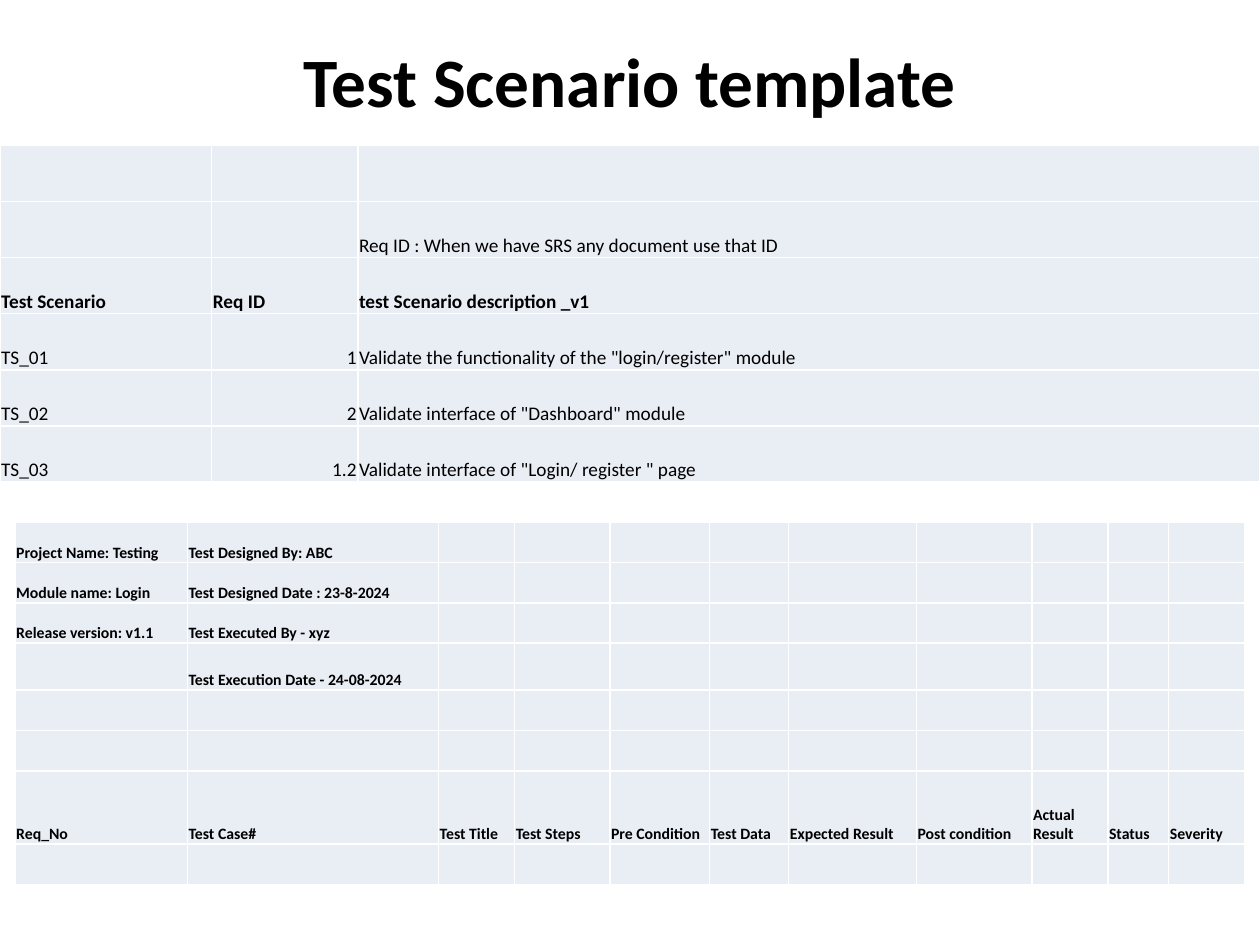
import dataclasses

import pptx
import pptx.dml.color
import pptx.enum.text
import pptx.oxml
import pptx.oxml.ns
import pptx.util

Pt = pptx.util.Pt
Align = pptx.enum.text.PP_ALIGN
Anchor = pptx.enum.text.MSO_ANCHOR


@dataclasses.dataclass(frozen=True)
class Theme:
    """Colours and type sizes of the deck."""
    font: str = "Calibri"
    ink: str = "000000"
    cell: str = "E9EDF4"
    rule: str = "FFFFFF"
    title_size: float = 39.6
    scenario_size: float = 11
    case_size: float = 9


THEME = Theme()

SCENARIO_WIDTHS = [121, 83.5, 515.5]
SCENARIO_ROWS = [
    [],
    ["", "", "Req ID : When we have SRS any document use that ID"],
    ["Test Scenario", "Req ID", "test Scenario description _v1"],
    ["TS_01", "1", 'Validate the functionality of the "login/register" module'],
    ["TS_02", "2", 'Validate interface of "Dashboard" module'],
    ["TS_03", "1.2", 'Validate interface of "Login/ register " page'],
]
SCENARIO_HEADER = 2

CASE_WIDTHS = [98.5, 143.5, 43.5, 54.5, 57, 45.2, 73, 66, 43.4, 34.8, 43.2]
CASE_HEIGHTS = [23.1, 23.1, 23.1, 26.8, 23.1, 23.1, 41.9, 23.1]
CASE_ROWS = [
    ["Project Name: Testing", "Test Designed By: ABC"],
    ["Module name: Login", "Test Designed Date : 23-8-2024"],
    ["Release version: v1.1", "Test Executed By - xyz"],
    ["", "Test Execution Date - 24-08-2024"],
    [],
    [],
    ["Req_No", "Test Case#", "Test Title", "Test Steps", "Pre Condition", "Test Data",
     "Expected Result", "Post condition", "Actual Result", "Status", "Severity"],
    [],
]


def write_text(frame, text, size, bold=False, align=Align.LEFT):
    """Write one formatted paragraph into a text frame."""
    para = frame.paragraphs[0]
    para.alignment = align
    span = para.add_run()
    span.text = text
    span.font.name = THEME.font
    span.font.size = Pt(size)
    span.font.bold = bold
    span.font.color.rgb = pptx.dml.color.RGBColor.from_string(THEME.ink)


def style_cell(cell):
    """Give a cell its fill, borders, insets and bottom anchor."""
    cell.margin_left = cell.margin_right = cell.margin_top = Pt(0.7)
    cell.margin_bottom = Pt(0)
    cell.vertical_anchor = Anchor.BOTTOM
    properties = cell._tc.get_or_add_tcPr()
    for edge in ("lnL", "lnR", "lnT", "lnB"):
        properties.append(pptx.oxml.parse_xml(
            f'<a:{edge} {pptx.oxml.ns.nsdecls("a")} w="{Pt(1)}"><a:solidFill>'
            f'<a:srgbClr val="{THEME.rule}"/></a:solidFill></a:{edge}>'))
    cell.fill.solid()
    cell.fill.fore_color.rgb = pptx.dml.color.RGBColor.from_string(THEME.cell)


def add_grid(page, left, top, widths, heights):
    """Add a plain styled table and return it."""
    box = page.shapes.add_table(len(heights), len(widths), Pt(left), Pt(top),
                                Pt(sum(widths)), Pt(sum(heights)))
    table = box.table
    table.first_row = table.horz_banding = False
    for column, width in zip(table.columns, widths):
        column.width = Pt(width)
    for row, height in zip(table.rows, heights):
        row.height = Pt(height)
    for cell in table.iter_cells():
        style_cell(cell)
    return table


def place_title(page, left, top, width, height):
    """Place the page title in the upper part of its box."""
    title = page.shapes.title
    title.left, title.top, title.width, title.height = map(Pt, (left, top, width, height))
    frame = title.text_frame
    frame.word_wrap = True
    frame.auto_size = pptx.enum.text.MSO_AUTO_SIZE.NONE
    frame.vertical_anchor = Anchor.MIDDLE
    frame.margin_top = Pt(0)
    frame.margin_bottom = Pt(42)
    write_text(frame, "Test Scenario template", THEME.title_size, bold=True, align=Align.CENTER)


def place_scenarios(page, left, top, row_height):
    """Place the table of test scenarios."""
    table = add_grid(page, left, top, SCENARIO_WIDTHS, [row_height] * len(SCENARIO_ROWS))
    for row, texts in enumerate(SCENARIO_ROWS):
        for column, text in enumerate(texts):
            if text:
                is_number = column == 1 and row > SCENARIO_HEADER
                write_text(table.cell(row, column).text_frame, text, THEME.scenario_size,
                           bold=row == SCENARIO_HEADER,
                           align=Align.RIGHT if is_number else Align.LEFT)


def place_cases(page, left, top):
    """Place the test case form."""
    table = add_grid(page, left, top, CASE_WIDTHS, CASE_HEIGHTS)
    for row, texts in enumerate(CASE_ROWS):
        for column, text in enumerate(texts):
            if text:
                write_text(table.cell(row, column).text_frame, text, THEME.case_size, bold=True)


def main():
    """Build the deck and save it."""
    deck = pptx.Presentation()
    deck.slide_width, deck.slide_height = Pt(720), Pt(540)
    page = deck.slides.add_slide(deck.slide_layouts.get_by_name("Title Only"))
    place_title(page, 36, 21.6, 648, 90)
    place_scenarios(page, 0, 83, 32.1)
    place_cases(page, 8.6, 298.3)
    deck.save("out.pptx")


if __name__ == "__main__":
    main()
